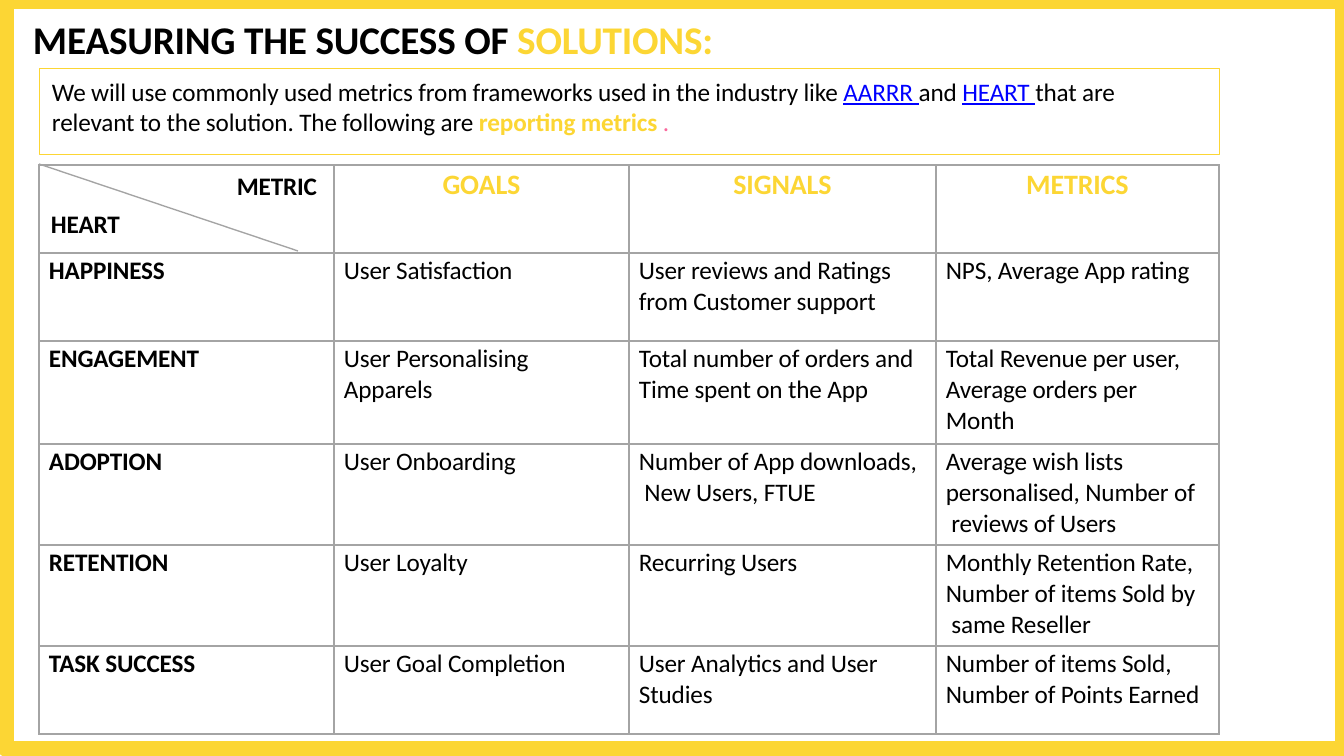
"""Build the slide on measuring the success of solutions with HEART metrics."""
from dataclasses import dataclass

from lxml import etree
from pptx import Presentation
from pptx import util as u
from pptx.dml.color import RGBColor
from pptx.enum import shapes, text
from pptx.oxml.ns import qn

EMU_PER_PX = 914400 / 100.8
LEFT, CENTER, RIGHT = text.PP_ALIGN.LEFT, text.PP_ALIGN.CENTER, text.PP_ALIGN.RIGHT


def px(length):
    return u.Emu(round(length * EMU_PER_PX))


@dataclass(frozen=True)
class Theme:
    font: str = "Calibri"
    ink: str = "000000"
    accent: str = "FCD634"
    link: str = "0000FF"
    stop: str = "FA689D"
    rule: str = "A4A4A4"
    title: int = 28
    heading: int = 20
    body: int = 18
    tracking: str = "-10"


class MetricsSlide:
    def __init__(self, theme):
        self.theme = theme
        self.deck = Presentation()
        self.deck.slide_width, self.deck.slide_height = px(1344), px(756)
        self.slide = self.deck.slides.add_slide(self.deck.slide_layouts[5])

    def line(self, paragraph, runs, size, bold=False, align=LEFT, before=0):
        paragraph.alignment = align
        paragraph.space_before = u.Pt(before)
        font = paragraph.font
        font.name, font.size, font.bold = self.theme.font, u.Pt(size), bold
        for words, colour, *emphasis in runs:
            run = paragraph.add_run()
            run.text = words
            run.font.color.rgb = RGBColor.from_string(colour)
            if "bold" in emphasis:
                run.font.bold = True
            if "underline" in emphasis:
                run.font.underline = True
            run.font._element.set("spc", self.theme.tracking)

    def paragraphs(self, frame, lines, size, before=0, **style):
        for index, runs in enumerate(lines):
            paragraph = frame.add_paragraph() if index else frame.paragraphs[0]
            self.line(paragraph, runs, size, before=0 if index else before, **style)

    def inset(self, frame, left, top):
        frame.margin_left, frame.margin_top = px(left), px(top)
        frame.margin_right = frame.margin_bottom = 0
        frame.vertical_anchor = text.MSO_ANCHOR.TOP
        frame.auto_size = text.MSO_AUTO_SIZE.NONE
        frame.word_wrap = True

    def title(self, box, runs):
        heading = self.slide.shapes.title
        heading.left, heading.top, heading.width, heading.height = map(px, box)
        self.inset(heading.text_frame, 1, 1)
        self.paragraphs(heading.text_frame, [runs], self.theme.title, before=0.9, bold=True)

    def outline(self, box, weight):
        panel = self.slide.shapes.add_shape(shapes.MSO_SHAPE.RECTANGLE, *map(px, box))
        panel.shadow.inherit = False
        panel.fill.background()
        panel.line.color.rgb = RGBColor.from_string(self.theme.accent)
        panel.line.width = u.Pt(weight)
        return panel

    def intro(self, box, lines):
        frame = self.outline(box, 0.48).text_frame
        self.inset(frame, 13, 8)
        self.paragraphs(frame, lines, self.theme.body, before=6.1)

    def diagonal(self, *ends):
        divider = self.slide.shapes.add_connector(shapes.MSO_CONNECTOR.STRAIGHT, *map(px, ends))
        divider.line.color.rgb = RGBColor.from_string(self.theme.rule)
        divider.line.width = u.Pt(0.96)
        etree.SubElement(divider._element.spPr, qn("a:effectLst"))

    def borders(self, cell, **weights):
        properties = cell._tc.get_or_add_tcPr()
        for index, side in enumerate("LRTB"):
            edge = etree.Element(qn(f"a:ln{side}"), w=str(u.Pt(weights.get(side, 1))))
            fill = etree.SubElement(edge, qn("a:solidFill"))
            etree.SubElement(fill, qn("a:srgbClr"), val=self.theme.rule)
            properties.insert(index, edge)

    def cell(self, cell, left=0, top=3, right=0, **weights):
        cell.margin_left, cell.margin_top = px(left), px(top)
        cell.margin_right, cell.margin_bottom = px(right), 0
        cell.fill.background()
        self.borders(cell, **weights)

    def table(self, left, top, widths, heights, corner, headings, rows):
        theme = self.theme
        frame = self.slide.shapes.add_table(
            len(heights), len(widths), *map(px, (left, top, sum(widths), sum(heights))))
        grid = frame.table
        grid.first_row = grid.horz_banding = False
        for column, width in zip(grid.columns, widths):
            column.width = px(width)
        for row, height in zip(grid.rows, heights):
            row.height = px(height)

        corner_cell = grid.cell(0, 0)
        self.cell(corner_cell, left=12, top=6, right=17, B=2.25)
        across, down = corner
        frame = corner_cell.text_frame
        self.line(frame.paragraphs[0], [(across, theme.ink)], theme.body, True, RIGHT, 4.5)
        self.line(frame.add_paragraph(), [(down, theme.ink)], theme.body, True, LEFT, 5.5)

        for column, heading in enumerate(headings, 1):
            head = grid.cell(0, column)
            self.cell(head, B=2.25)
            self.paragraphs(head.text_frame, [[(heading, theme.accent)]], theme.heading,
                            before=2.3, bold=True, align=CENTER)

        for row, entries in enumerate(rows, 1):
            for column, entry in enumerate(entries):
                item = grid.cell(row, column)
                self.cell(item, left=10, T=2.25 if row == 1 else 1)
                lines = [[(line, theme.ink)] for line in entry.split("\n")]
                self.paragraphs(item.text_frame, lines, theme.body, before=2.5, bold=column == 0)


HEART_ROWS = [
    ("HAPPINESS", "User Satisfaction",
     "User reviews and Ratings\nfrom Customer support", "NPS, Average App rating"),
    ("ENGAGEMENT", "User Personalising\nApparels",
     "Total number of orders and\nTime spent on the App",
     "Total Revenue per user,\nAverage orders per\nMonth"),
    ("ADOPTION", "User Onboarding", "Number of App downloads,\n New Users, FTUE",
     "Average wish lists\npersonalised, Number of\n reviews of Users"),
    ("RETENTION", "User Loyalty", "Recurring Users",
     "Monthly Retention Rate,\nNumber of items Sold by\n same Reseller"),
    ("TASK SUCCESS", "User Goal Completion", "User Analytics and User\nStudies",
     "Number of items Sold,\nNumber of Points Earned"),
]


def main():
    theme = Theme()
    page = MetricsSlide(theme)
    page.title((32, 14, 690, 49),
               [("MEASURING THE SUCCESS OF ", theme.ink), ("SOLUTIONS:", theme.accent)])
    page.intro((39, 68, 1180, 86), [
        [("We will use commonly used metrics from frameworks used in the industry like ", theme.ink),
         ("AARRR ", theme.link, "underline"), ("and ", theme.ink),
         ("HEART ", theme.link, "underline"), ("that are", theme.ink)],
        [("relevant to the solution. The following are ", theme.ink),
         ("reporting metrics ", theme.accent, "bold"), (".", theme.stop)],
    ])
    page.table(39, 165, (295, 295, 307, 283), (88, 88, 103, 101, 101, 88),
               ("METRIC", "HEART"), ("GOALS", "SIGNALS", "METRICS"), HEART_ROWS)
    page.diagonal(39, 164, 298, 251)
    page.outline((6, 1, 1337, 748), 11.04)
    page.deck.save("out.pptx")


if __name__ == "__main__":
    main()
